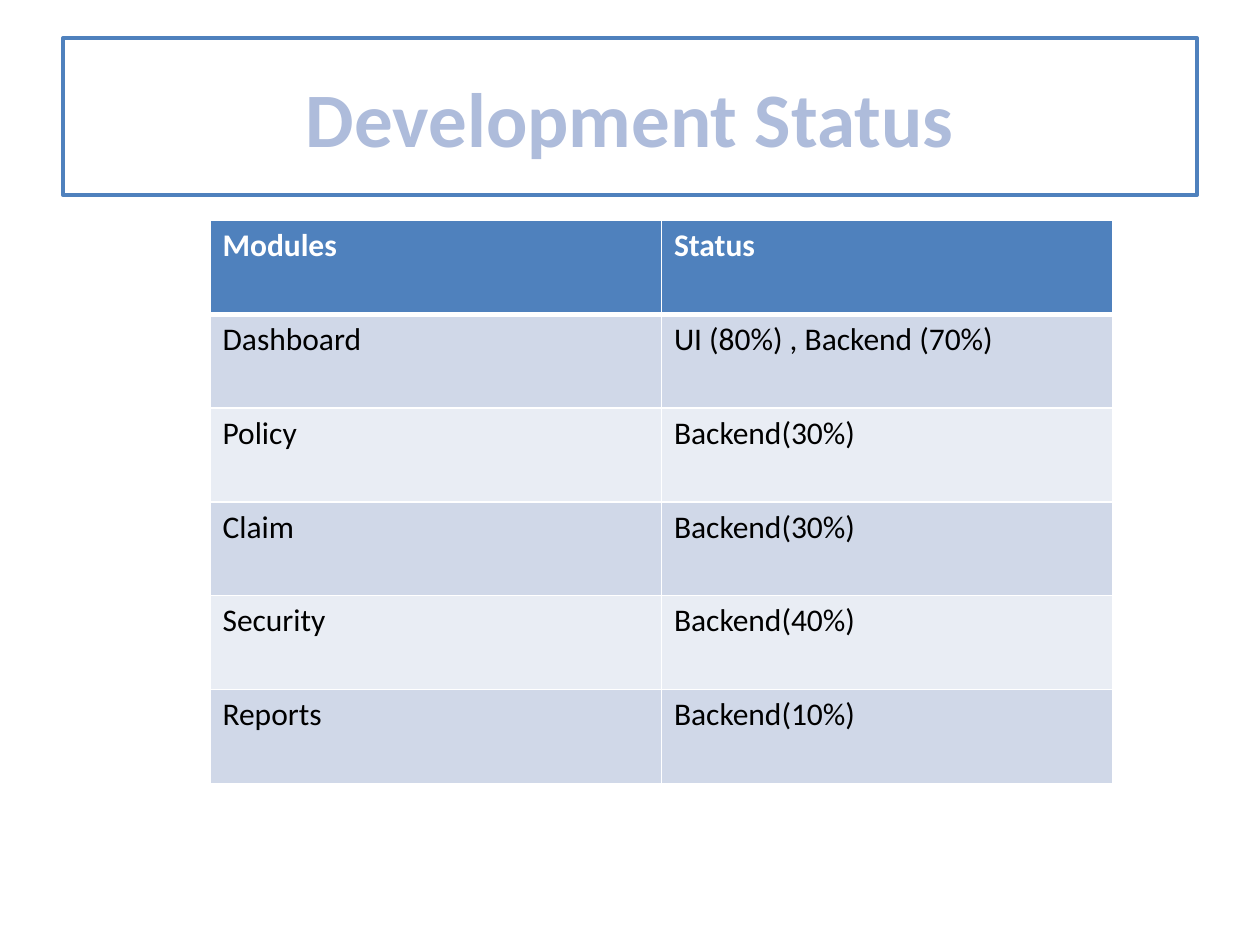
import dataclasses

import lxml.etree
import pptx
import pptx.dml.color
import pptx.enum.shapes
import pptx.enum.text
import pptx.oxml.ns
import pptx.util


@dataclasses.dataclass(frozen=True)
class Theme:
    font: str = "Calibri"
    accent: str = "4F81BD"
    white: str = "FFFFFF"
    black: str = "000000"
    title: str = "AEBCDB"
    bands: tuple = ("D0D8E8", "E9EDF4")
    title_size: int = 44
    table_size: int = 18
    frame_width: float = 2
    grid_width: float = 1
    header_rule_width: float = 3


THEME = Theme()
SLIDE_WIDTH = pptx.util.Inches(10)
SLIDE_HEIGHT = pptx.util.Inches(7.5)
STATUS_ROWS = (
    ("Modules", "Status"),
    ("Dashboard", "UI (80%) , Backend (70%)"),
    ("Policy", "Backend(30%)"),
    ("Claim", "Backend(30%)"),
    ("Security", "Backend(40%)"),
    ("Reports", "Backend(10%)"),
)


def color(value):
    return pptx.dml.color.RGBColor.from_string(value)


def fill_solid(target, value):
    target.fill.solid()
    target.fill.fore_color.rgb = color(value)


def add_run(paragraph, text, size, value, bold):
    run = paragraph.add_run()
    run.text = text
    run.font.name = THEME.font
    run.font.size = pptx.util.Pt(size)
    run.font.bold = bold
    run.font.color.rgb = color(value)


def add_title(slide, text):
    margin = SLIDE_WIDTH // 20
    shape = slide.shapes.add_shape(
        pptx.enum.shapes.MSO_SHAPE.RECTANGLE,
        margin, SLIDE_HEIGHT // 25, SLIDE_WIDTH - 2 * margin, SLIDE_HEIGHT // 6,
    )
    shape.shadow.inherit = False
    fill_solid(shape, THEME.white)
    shape.line.color.rgb = color(THEME.accent)
    shape.line.width = pptx.util.Pt(THEME.frame_width)
    shape.text_frame.word_wrap = True
    shape.text_frame.vertical_anchor = pptx.enum.text.MSO_ANCHOR.MIDDLE
    paragraph = shape.text_frame.paragraphs[0]
    paragraph.alignment = pptx.enum.text.PP_ALIGN.CENTER
    add_run(paragraph, text, THEME.title_size, THEME.title, True)


def add_border(cell, side, width):
    qualified = pptx.oxml.ns.qn
    properties = cell._tc.get_or_add_tcPr()
    line = lxml.etree.SubElement(
        properties, qualified(f"a:ln{side}"), w=str(pptx.util.Pt(width))
    )
    fill = lxml.etree.SubElement(line, qualified("a:solidFill"))
    lxml.etree.SubElement(fill, qualified("a:srgbClr"), val=THEME.white)


def format_cell(cell, text, row_index):
    header = row_index == 0
    widths = dict.fromkeys("LRTB", THEME.grid_width)
    if header:
        widths["B"] = THEME.header_rule_width
    elif row_index == 1:
        widths["T"] = THEME.header_rule_width
    for side, width in widths.items():
        add_border(cell, side, width)
    fill_solid(cell, THEME.accent if header else THEME.bands[(row_index - 1) % 2])
    text_color = THEME.white if header else THEME.black
    add_run(cell.text_frame.paragraphs[0], text, THEME.table_size, text_color, header)


def add_status_table(slide, rows):
    column_count = len(rows[0])
    row_height = int(SLIDE_HEIGHT * 0.0993)
    column_width = int(SLIDE_WIDTH * 0.3583)
    table = slide.shapes.add_table(
        len(rows), column_count,
        SLIDE_WIDTH // 6, int(SLIDE_HEIGHT * 0.2333),
        column_count * column_width, len(rows) * row_height,
    ).table
    for row_index, values in enumerate(rows):
        for column_index, text in enumerate(values):
            format_cell(table.cell(row_index, column_index), text, row_index)


def main():
    presentation = pptx.Presentation()
    presentation.slide_width = SLIDE_WIDTH
    presentation.slide_height = SLIDE_HEIGHT
    slide = presentation.slides.add_slide(presentation.slide_layouts[6])
    add_title(slide, "Development Status")
    add_status_table(slide, STATUS_ROWS)
    presentation.save("out.pptx")


if __name__ == "__main__":
    main()
